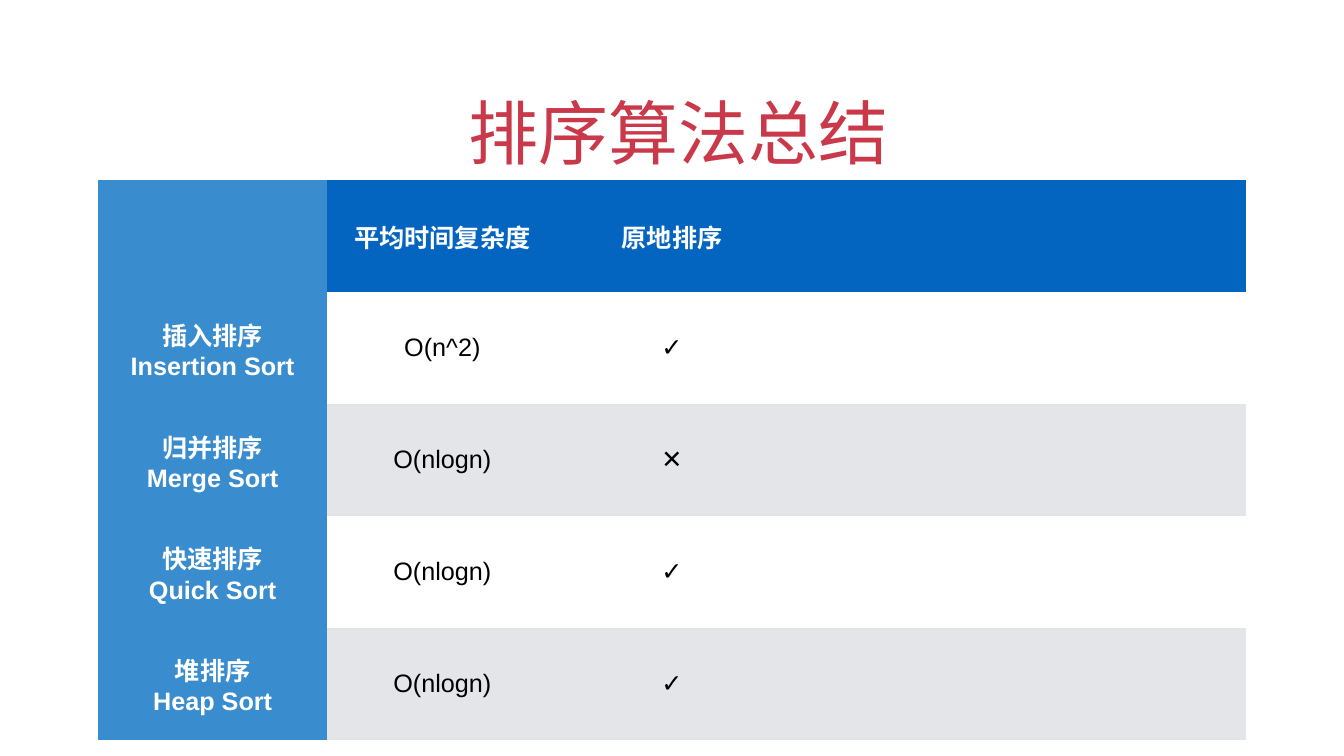
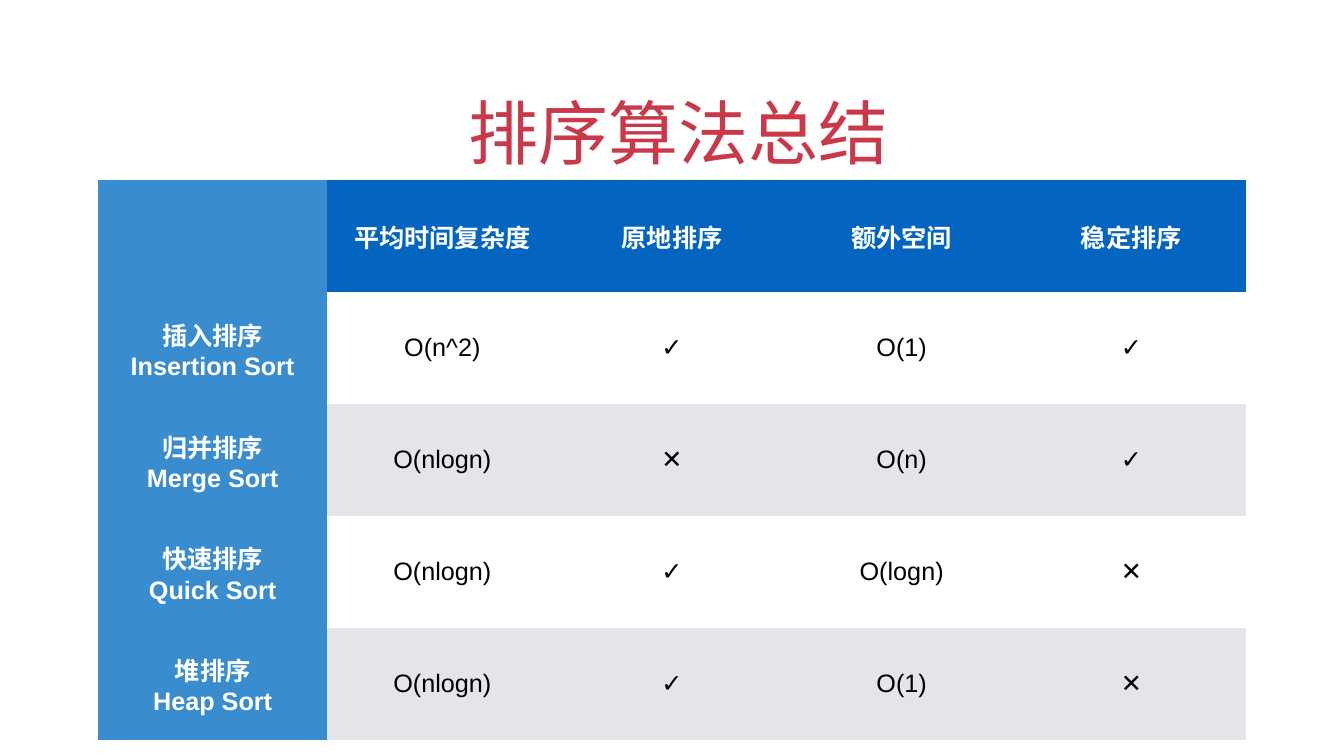
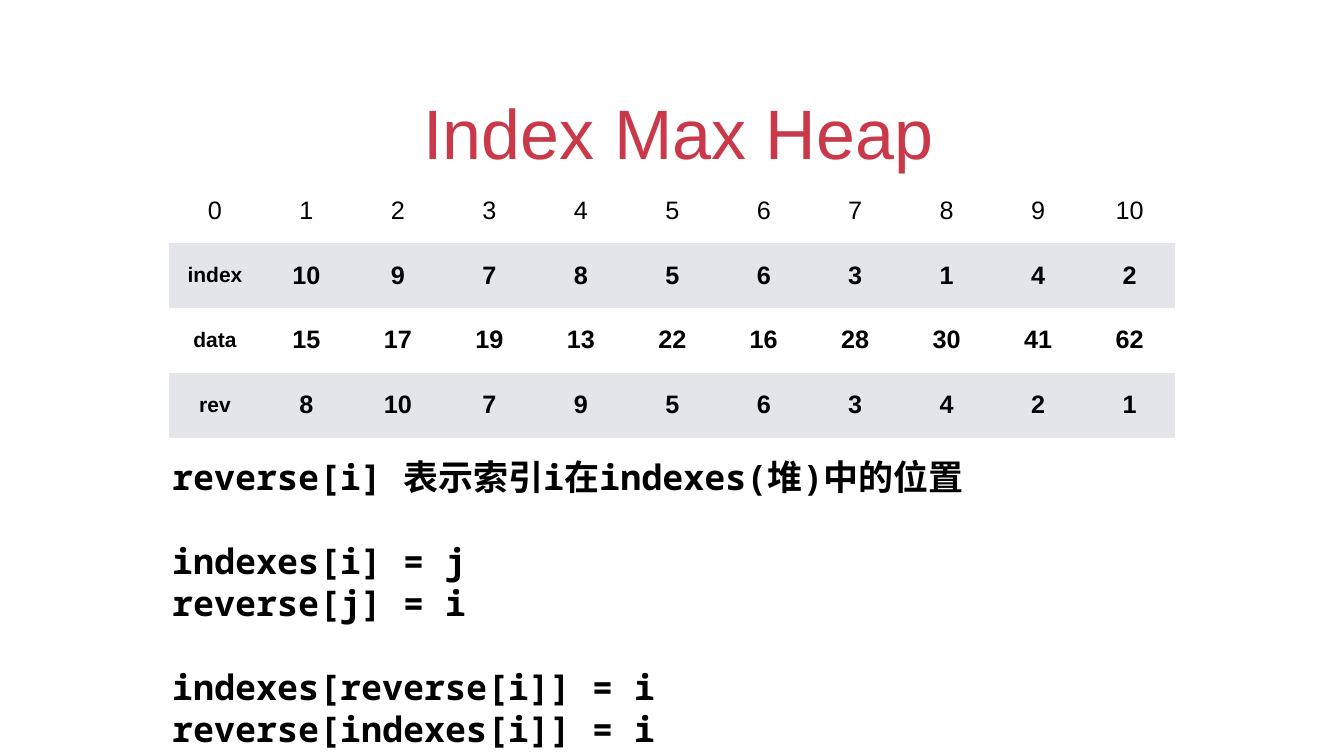
from pptx import Presentation
from pptx.dml.color import RGBColor
from pptx.enum.text import MSO_ANCHOR, PP_ALIGN
from pptx.util import Cm, Pt

LEFT, CENTER = PP_ALIGN.LEFT, PP_ALIGN.CENTER
MIDDLE, BOTTOM = MSO_ANCHOR.MIDDLE, MSO_ANCHOR.BOTTOM

RED, BLUE, LIGHT_BLUE = "C9394A", "0365C0", "398CCE"
WHITE, GRAY, BLACK = "FFFFFF", "E3E5E8", "000000"
SANS, MONO = "Arial", "Noto Sans Mono"
PLAIN_TABLE = "{2D5ABB26-0587-4C30-8999-92F81FD0307C}"

PAGE_WIDTH, PAGE_HEIGHT = 67.73, 38.1
INSET = 0.14
# Boxes are left, top, width, height in centimetres
TITLE_BOX = (4.93, 3.23, 57.87, 5.64)
SUMMARY_BOX = (4.93, 9.09, 57.87, 28.2)
HEAP_BOX = (8.53, 8.97, 50.7, 13.08)
CODE_BOX = (8.53, 22.76, 50.7, 15.24)

SUMMARY = [
    ["", "平均时间复杂度", "原地排序", "额外空间", "稳定排序"],
    ["插入排序\vInsertion Sort", "O(n^2)", "✓", "O(1)", "✓"],
    ["归并排序\vMerge Sort", "O(nlogn)", "✕", "O(n)", "✓"],
    ["快速排序\vQuick Sort", "O(nlogn)", "✓", "O(logn)", "✕"],
    ["堆排序\vHeap Sort", "O(nlogn)", "✓", "O(1)", "✕"],
]
HEAP = [
    list(range(11)),
    ["index", 10, 9, 7, 8, 5, 6, 3, 1, 4, 2],
    ["data", 15, 17, 19, 13, 22, 16, 28, 30, 41, 62],
    ["rev", 8, 10, 7, 9, 5, 6, 3, 4, 2, 1],
]
CODE = """reverse[i] 表示索引i在indexes(堆)中的位置
indexes[i] = j
reverse[j] = i
indexes[reverse[i]] = i
reverse[indexes[i]] = i"""


def color(value):
    return RGBColor.from_string(value)


def write(frame, text, size=36, font=SANS, ink=BLACK, bold=False,
          align=CENTER, pitch=None, gaps=(), indent=0):
    """Fill a frame; lines listed in gaps have one line of space above."""
    frame.text = text
    for number, para in enumerate(frame.paragraphs):
        para.alignment = align
        if pitch:
            para.line_spacing = Pt(pitch)
        if number in gaps:
            para.space_before = Pt(pitch)
        if indent:
            para._p.get_or_add_pPr().set("indent", str(Cm(indent)))
        for span in para.runs:
            span.font.size = Pt(size)
            span.font.name = font
            span.font.bold = bold
            span.font.color.rgb = color(ink)


def set_insets(holder):
    holder.margin_left = holder.margin_right = Cm(INSET)
    holder.margin_top = holder.margin_bottom = Cm(INSET)


def add_text(page, box, text, anchor, **text_format):
    frame = page.shapes.add_textbox(*map(Cm, box)).text_frame
    frame.word_wrap = True
    frame.vertical_anchor = anchor
    set_insets(frame)
    write(frame, text, **text_format)


def add_grid(page, box, rows, cell_style):
    """Add an even table; cell_style(row, column) gives fill and text format."""
    row_count, column_count = len(rows), len(rows[0])
    table = page.shapes.add_table(row_count, column_count, *map(Cm, box)).table
    table._tbl.tblPr.find("{*}tableStyleId").text = PLAIN_TABLE
    for column in table.columns:
        column.width = Cm(box[2] / column_count)
    for row in table.rows:
        row.height = Cm(box[3] / row_count)
    for r, values in enumerate(rows):
        for c, value in enumerate(values):
            cell = table.cell(r, c)
            fill, text_format = cell_style(r, c)
            cell.fill.solid()
            cell.fill.fore_color.rgb = color(fill)
            cell.vertical_anchor = MIDDLE
            set_insets(cell)
            if value != "":
                write(cell.text_frame, str(value), **text_format)


def summary_style(row, column):
    if column == 0:
        return LIGHT_BLUE, {"ink": WHITE, "bold": True}
    if row == 0:
        return BLUE, {"ink": WHITE, "bold": True}
    return (WHITE if row % 2 else GRAY), {}


def heap_style(row, column):
    size = 30 if row and column == 0 else 36
    return (GRAY if row % 2 else WHITE), {"size": size, "bold": row > 0}


def add_page(deck, title):
    page = deck.slides.add_slide(deck.slide_layouts[6])
    add_text(page, TITLE_BOX, title, BOTTOM, size=100, ink=RED, indent=0.64)
    return page


def add_summary_page(deck, shown_columns):
    page = add_page(deck, "排序算法总结")
    rows = [[value if c < shown_columns else "" for c, value in enumerate(row)]
            for row in SUMMARY]
    add_grid(page, SUMMARY_BOX, rows, summary_style)


def add_heap_page(deck):
    page = add_page(deck, "Index Max Heap")
    add_grid(page, HEAP_BOX, HEAP, heap_style)
    add_text(page, CODE_BOX, CODE, MIDDLE, size=50, font=MONO, bold=True,
             align=LEFT, pitch=60, gaps=(1, 3))


def main():
    deck = Presentation()
    deck.slide_width, deck.slide_height = Cm(PAGE_WIDTH), Cm(PAGE_HEIGHT)
    add_summary_page(deck, shown_columns=3)
    add_summary_page(deck, shown_columns=5)
    add_heap_page(deck)
    deck.save("out.pptx")


if __name__ == "__main__":
    main()
